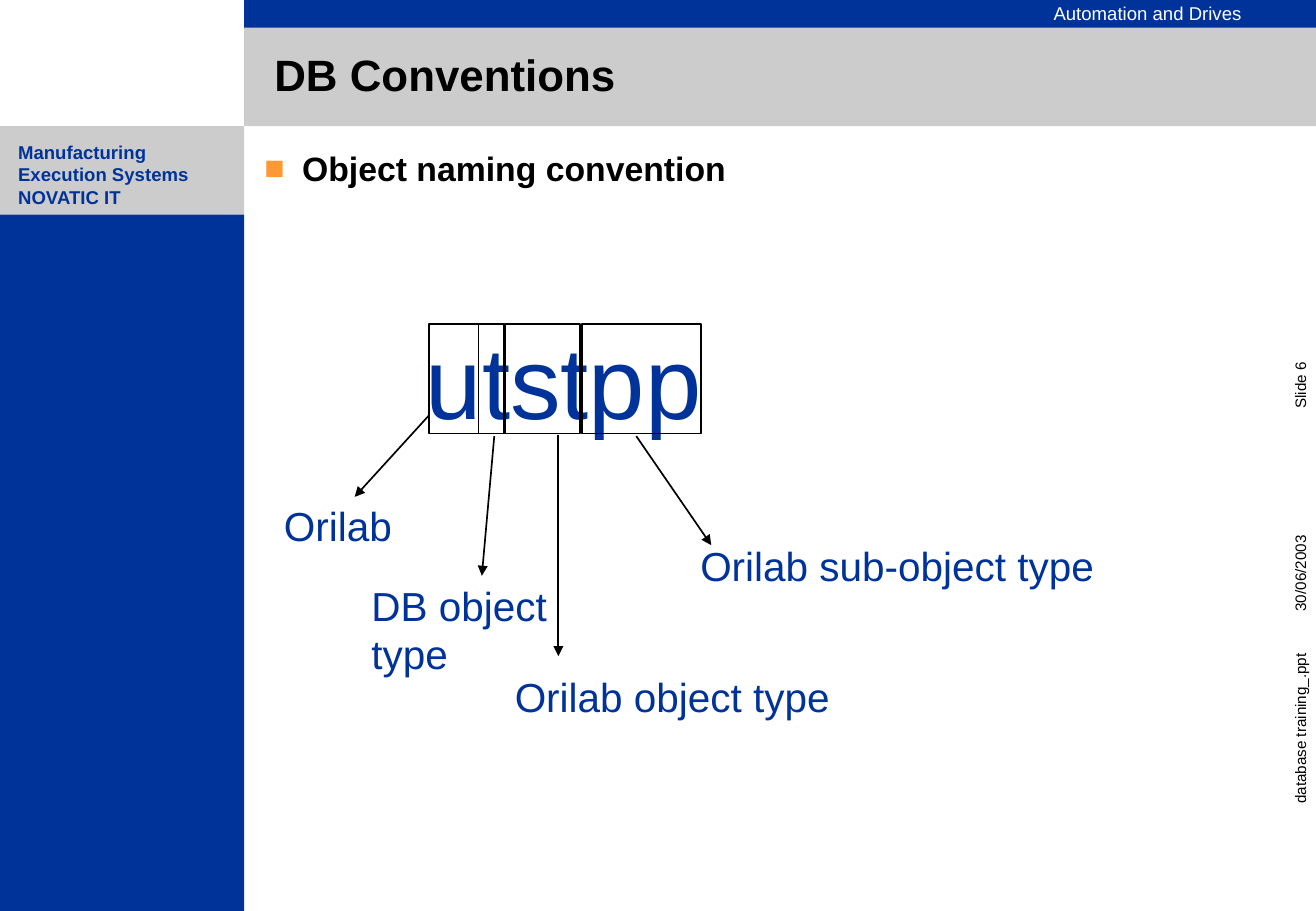
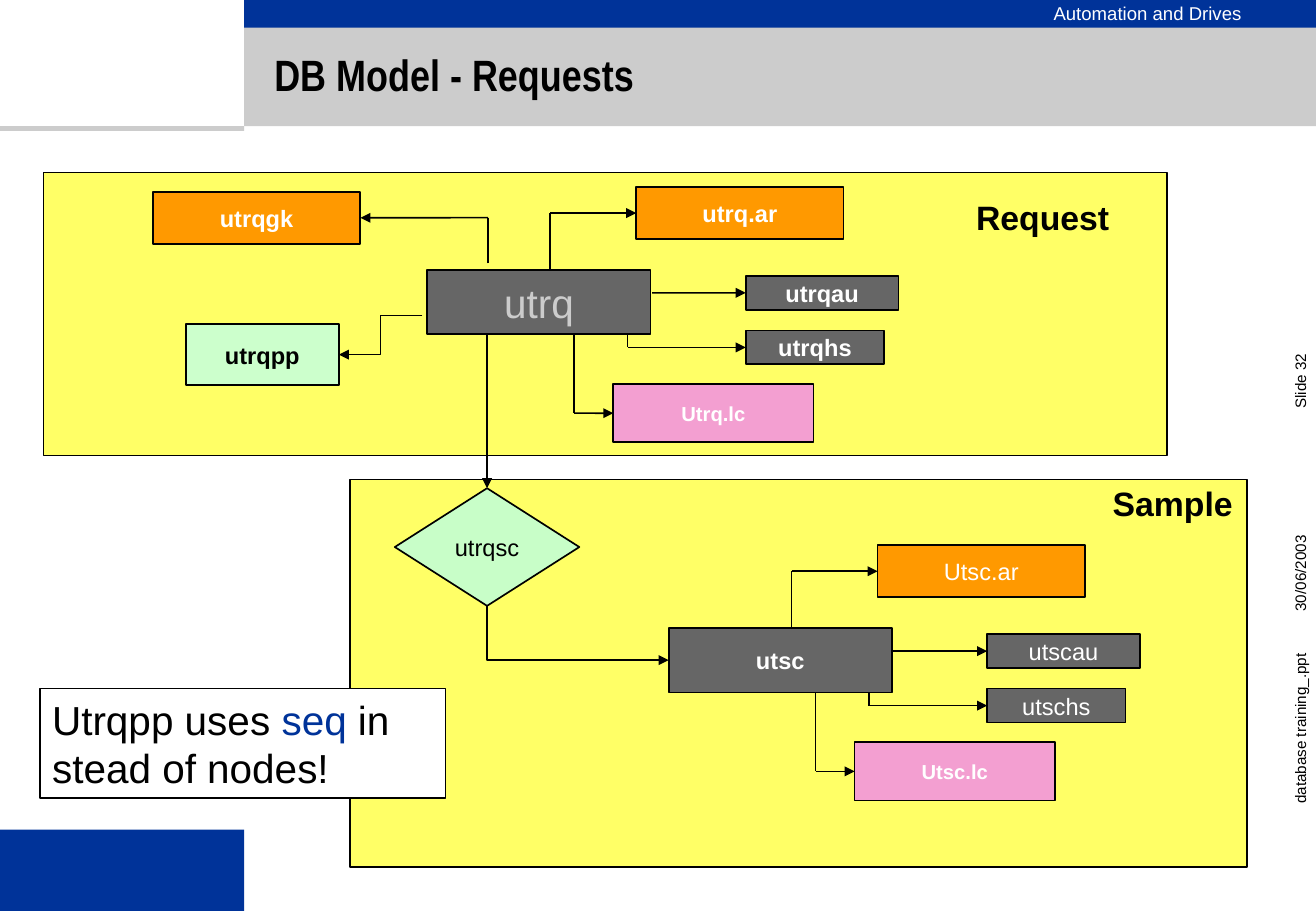
from lxml.etree import SubElement
from pptx import Presentation
from pptx.dml.color import RGBColor
from pptx.enum.shapes import MSO_CONNECTOR, MSO_SHAPE
from pptx.enum.text import MSO_ANCHOR, PP_ALIGN
from pptx.oxml.ns import qn
from pptx.util import Cm, Pt

BLUE = RGBColor(0x00, 0x33, 0x99)
SILVER = RGBColor(0xCC, 0xCC, 0xCC)
GREY = RGBColor(0x66, 0x66, 0x66)
BLACK = RGBColor(0x00, 0x00, 0x00)
WHITE = RGBColor(0xFF, 0xFF, 0xFF)
YELLOW = RGBColor(0xFF, 0xFF, 0x66)
ORANGE = RGBColor(0xFF, 0x99, 0x00)
PINK = RGBColor(0xF3, 0x9F, 0xD1)
MINT = RGBColor(0xCC, 0xFF, 0xCC)
LIME = RGBColor(0xC8, 0xFE, 0xC8)
RECT = MSO_SHAPE.RECTANGLE


def put(slide, place, text="", kind=None, fill=None, edge=None, size=14, color=BLACK,
        bold=False, align=PP_ALIGN.LEFT, mid=False, pad=(0.25, 0.13), face="Arial"):
    area = [Cm(n) for n in place]
    if kind is None:
        shape = slide.shapes.add_textbox(*area)
    else:
        shape = slide.shapes.add_shape(kind, *area)
        shape.shadow.inherit = False
        if fill is None:
            shape.fill.background()
        else:
            shape.fill.solid()
            shape.fill.fore_color.rgb = fill
        if edge is None:
            shape.line.fill.background()
        else:
            shape.line.color.rgb = edge
            shape.line.width = Pt(1)
    frame = shape.text_frame
    frame.word_wrap = True
    frame.vertical_anchor = MSO_ANCHOR.MIDDLE if mid else MSO_ANCHOR.TOP
    frame.margin_left = frame.margin_right = Cm(pad[0])
    frame.margin_top = frame.margin_bottom = Cm(pad[1])
    frame.text = text
    for para in frame.paragraphs:
        para.alignment = align
        para.font.size = Pt(size)
        para.font.name = face
        para.font.bold = bold
        para.font.color.rgb = color
    return shape


def wire(slide, start, end, tip="tailEnd", goal=None, site=1, kind=MSO_CONNECTOR.STRAIGHT):
    link = slide.shapes.add_connector(kind, *[Cm(n) for n in (*start, *end)])
    link.line.color.rgb = BLACK
    link.line.width = Pt(1)
    if tip:
        SubElement(link.line._get_or_add_ln(), qn("a:" + tip), type="triangle")
    SubElement(link._element.spPr, qn("a:effectLst"))
    if goal is not None:
        link.end_connect(goal, site)
    return link


deck = Presentation()
deck.slide_width = Cm(27.53)
deck.slide_height = Cm(19.05)

pages = []
for title, face, number, strip, floor in [
    ("DB Conventions", "Arial", 6, 1.85, 4.49),
    ("DB Model - Requests", "Arial Narrow", 32, 0.1, 17.35),
]:
    slide = deck.slides.add_slide(deck.slide_layouts[6])
    for place, fill in [
        ((5.11, 0, 22.42, 2.64), SILVER),
        ((5.11, 0, 22.42, 0.58), BLUE),
        ((0, 2.64, 5.11, strip), SILVER),
        ((0, floor, 5.11, 19.05 - floor), BLUE),
    ]:
        put(slide, place, kind=RECT, fill=fill)
    head = put(slide, (21.79, -0.03, 5, 0.69), "Automation and Drives", size=11, color=WHITE)
    name = put(slide, (5.74, 0.58, 21.79, 2.06), title, size=26, bold=True,
               mid=True, pad=(0, 0), face=face)
    for box in (head, name):
        box.text_frame.paragraphs[0].line_spacing = 0.9
    for top, text in [(6.22, f"Slide {number}"), (10.46, "30/06/2003"),
                      (14.48, "database training_.ppt")]:
        foot = put(slide, (25.06, top, 4.27, 0.64), text, size=9, pad=(0.13, 0.13))
        foot.rotation = 270
    pages.append(slide)

naming, model = pages

put(naming, (0.28, 2.95, 4.75, 1.4), "Manufacturing Execution Systems\vNOVATIC IT",
    size=11, color=BLUE, bold=True, pad=(0.1, 0))

body = naming.shapes.add_textbox(Cm(5.28), Cm(2.97), Cm(20.09), Cm(1.2))
body.text_frame.word_wrap = True
para = body.text_frame.paragraphs[0]
para.text = "Object naming convention"
props = para._p.get_or_add_pPr()
props.set("marL", str(Cm(0.79)))
props.set("indent", str(-Cm(0.79)))
tint = SubElement(props, qn("a:buClr"))
SubElement(tint, qn("a:srgbClr"), val="FF9933")
SubElement(props, qn("a:buFont"), typeface="Arial")
SubElement(props, qn("a:buChar"), char="■")
para.font.size = Pt(20)
para.font.name = "Arial"
para.font.bold = True
para.font.color.rgb = BLACK

put(naming, (8.66, 6.53, 6.35, 2.79), "utstpp", size=60, color=BLUE)
for left, width in [(8.97, 1.57), (10.57, 1.57), (12.17, 2.49)]:
    put(naming, (left, 6.78, width, 2.29), kind=RECT, edge=BLACK)
wire(naming, (10.01, 6.78), (10.01, 9.07), tip=None)
for text, place, start, end in [
    ("Orilab", (5.69, 10.34, 4, 1.27), (8.97, 8.69), (7.42, 10.39)),
    ("DB object\ntype", (7.52, 12.01, 4.5, 2.29), (10.34, 9.12), (10.08, 12.04)),
    ("Orilab object type", (10.52, 13.92, 8.5, 1.27), (11.68, 9.09), (11.68, 13.72)),
    ("Orilab sub-object type", (14.4, 11.18, 10, 1.27), (13.31, 9.12), (14.88, 11.4)),
]:
    put(naming, place, text, size=24, color=BLUE)
    wire(naming, start, end)

node = dict(kind=RECT, edge=BLACK, mid=True, align=PP_ALIGN.CENTER)
put(model, (0.91, 3.61, 23.5, 5.92), kind=RECT, fill=YELLOW, edge=BLACK)
put(model, (7.32, 10.03, 18.77, 8.1), kind=RECT, fill=YELLOW, edge=BLACK)
put(model, (20.17, 3.99, 3.91, 1.09), "Request", size=20, bold=True)
put(model, (19.23, 9.96, 6.81, 1.09), "Sample", size=20, bold=True, align=PP_ALIGN.RIGHT)

parts = [
    ((15.6, 5.77, 3.2, 0.71), GREY, 14, (13.64, 6.12)),
    ((15.6, 6.91, 2.9, 0.71), GREY, 14, (13.13, 6.99)),
    ((12.83, 8.03, 4.19, 1.22), PINK, 12, (12.01, 7.01)),
    ((13.31, 3.91, 4.34, 1.09), ORANGE, 14, (11.51, 5.64)),
]
hubs = []
for dx, dy, hub, size, color, heavy, names, bolds in [
    (0, 0, "utrq", 24, SILVER, False,
     ["utrqau", "utrqhs", "Utrq.lc", "utrq.ar"], [True, True, True, True]),
    (5.05, 7.49, "utsc", 14, WHITE, True,
     ["utscau", "utschs", "Utsc.lc", "Utsc.ar"], [False, False, True, False]),
]:
    hubs.append(put(model, (8.94 + dx, 5.64 + dy, 4.67, 1.35), hub, fill=GREY,
                    size=size, color=color, bold=heavy, **node))
    for text, bold, (place, fill, size, (x, y)) in zip(names, bolds, parts):
        left, top, width, height = place
        goal = put(model, (left + dx, top + dy, width, height), text, fill=fill,
                   size=size, color=WHITE, bold=bold, **node)
        bend = (x + dx, top + height / 2 + dy)
        if abs(y + dy - bend[1]) > 0.05:
            wire(model, (x + dx, y + dy), bend, tip=None)
        wire(model, bend, (left + dx, bend[1]), goal=goal)

group = put(model, (3.2, 4.01, 4.34, 1.09), "utrqgk", fill=ORANGE, color=WHITE, bold=True, **node)
wire(model, (10.21, 5.51), (10.21, 4.55), tip=None)
wire(model, (10.21, 4.55), (7.54, 4.55), goal=group, site=3)

param = put(model, (3.89, 6.78, 3.2, 1.27), "utrqpp", fill=MINT, bold=True, **node)
wire(model, (8.84, 6.6), (7.09, 7.42), goal=param, site=3, kind=MSO_CONNECTOR.ELBOW)

joint = put(model, (8.26, 10.21, 3.86, 2.46), "utrqsc", fill=LIME,
            **{**node, "kind": MSO_SHAPE.DIAMOND})
wire(model, (10.19, 6.99), (10.19, 10.21), goal=joint, site=0)
turn = wire(model, (13.99, 13.8), (10.19, 12.67), tip="headEnd", goal=joint, site=2,
            kind=MSO_CONNECTOR.ELBOW)
turn.begin_connect(hubs[1], 1)
turn._element.spPr.find(qn("a:prstGeom")).set("prst", "bentConnector2")

note = put(model, (0.84, 14.4, 8.48, 2.29), kind=RECT, fill=WHITE, edge=BLACK, size=24)
para = note.text_frame.paragraphs[0]
for text, color in [("Utrqpp uses ", BLACK), ("seq ", BLUE), ("in stead of nodes!", BLACK)]:
    run = para.add_run()
    run.text = text
    run.font.color.rgb = color

deck.save("out.pptx")
